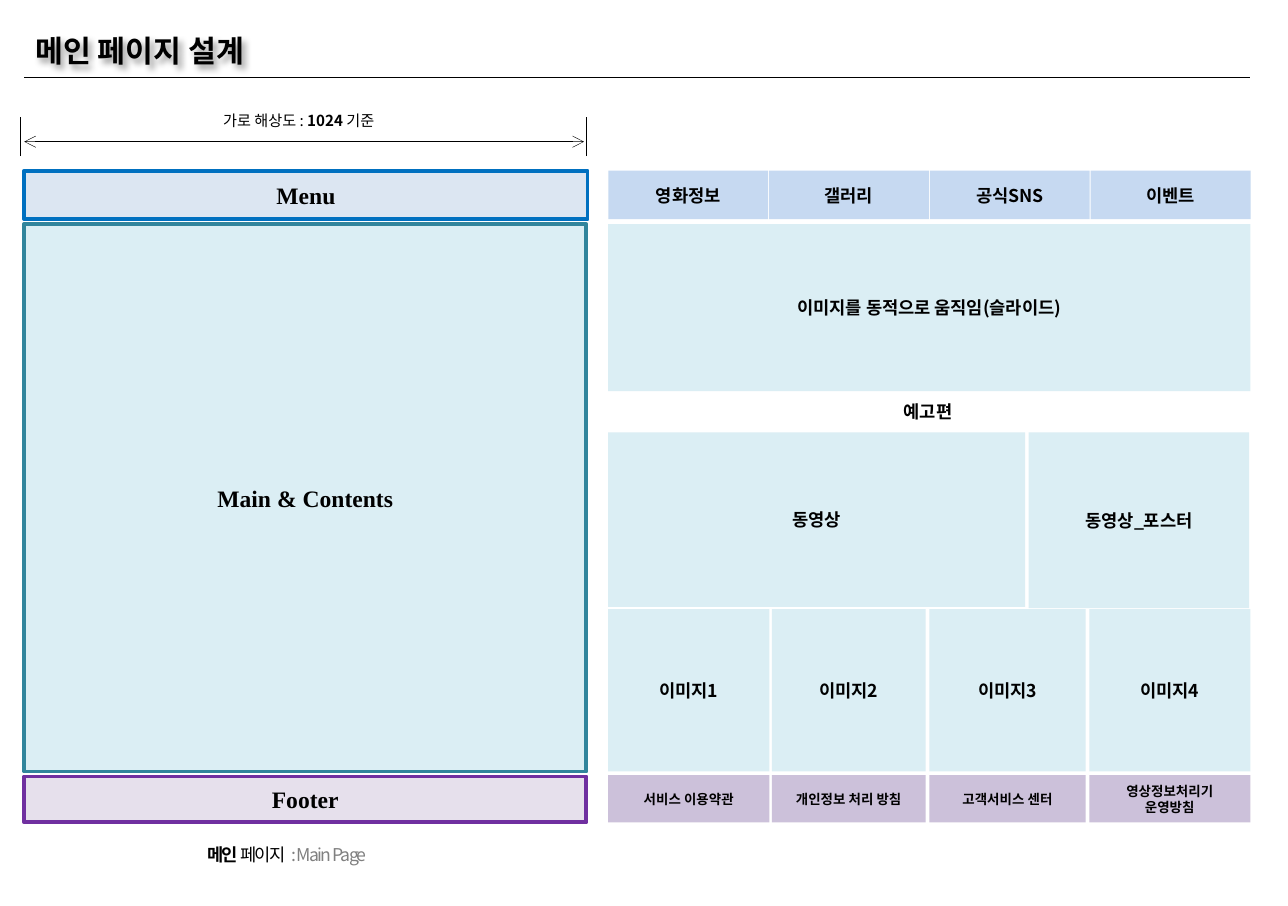
from dataclasses import dataclass
from typing import Optional

from lxml.etree import SubElement
from pptx import Presentation
from pptx.dml.color import RGBColor
from pptx.enum.shapes import MSO_CONNECTOR as Connector, MSO_SHAPE as Shape
from pptx.enum.text import MSO_ANCHOR as Anchor, PP_ALIGN as Align
from pptx.oxml.ns import qn
from pptx.util import Inches, Pt


@dataclass(frozen=True)
class Theme:
    sans: str = "Noto Sans CJK KR"
    serif: str = "Times New Roman"
    black: str = "000000"
    gray: str = "808080"
    content: str = "DBEEF4"
    content_line: str = "31859C"
    menu: str = "DCE6F2"
    menu_line: str = "0070C0"
    menu_item: str = "C6D9F1"
    footer: str = "E6E0EC"
    footer_line: str = "7030A0"
    footer_item: str = "CCC1DA"
    title_size: float = 18
    section_size: float = 14
    label_size: float = 10.5
    ruler_size: float = 9
    footer_size: float = 8
    border: float = 2.25


THEME = Theme()


@dataclass(frozen=True)
class Block:
    text: str
    left: float
    top: float
    width: float
    height: float
    fill: str = THEME.content
    size: float = THEME.label_size
    font: str = THEME.sans
    line: Optional[str] = None


@dataclass(frozen=True)
class Section(Block):
    size: float = THEME.section_size
    font: str = THEME.serif


@dataclass(frozen=True)
class Rule:
    x1: float
    y1: float
    x2: float
    y2: float
    weight: float
    arrows: bool = False


@dataclass(frozen=True)
class Span:
    text: str
    size: float
    bold: bool = False
    color: str = THEME.black
    spacing: float = 0


@dataclass(frozen=True)
class Label:
    spans: tuple[Span, ...]
    left: float
    top: float
    width: float
    height: float
    inset: tuple[float, float] = (0.1, 0.05)


SECTIONS = [
    Section("Main & Contents", 0.2, 1.85, 4.64, 4.52, line=THEME.content_line),
    Section("Menu", 0.2, 1.41, 4.65, 0.4, THEME.menu, line=THEME.menu_line),
    Section("Footer", 0.2, 6.41, 4.64, 0.38, THEME.footer, line=THEME.footer_line),
]
MENU_ITEMS = [
    Block(text, 5.02 + 1.327 * i, 1.41, 1.32, 0.4, THEME.menu_item)
    for i, text in enumerate(["영화정보", "갤러리", "공식SNS", "이벤트"])
]
MEDIA = [
    Block("이미지를 동적으로 움직임(슬라이드)", 5.02, 1.85, 5.3, 1.38),
    Block("동영상", 5.02, 3.57, 3.44, 1.44),
    Block("동영상_포스터", 8.49, 3.57, 1.82, 1.45),
]
COLUMNS = [(5.02, 1.33), (6.37, 1.27), (7.67, 1.29), (8.99, 1.33)]
POLICIES = ["서비스 이용약관", "개인정보 처리 방침", "고객서비스 센터", "영상정보처리기\v운영방침"]
IMAGES = [
    Block(f"이미지{i}", left, 5.03, width, 1.34)
    for i, (left, width) in enumerate(COLUMNS, 1)
]
FOOTER_ITEMS = [
    Block(text, left, 6.4, width, 0.39, THEME.footer_item, THEME.footer_size)
    for text, (left, width) in zip(POLICIES, COLUMNS)
]
RULES = [
    Rule(0.2, 0.64, 10.32, 0.64, 1),
    Rule(0.17, 1.29, 0.17, 0.97, 0.75),
    Rule(4.84, 1.29, 4.84, 0.97, 0.75),
    Rule(0.2, 1.17, 4.82, 1.17, 0.25, arrows=True),
]
LABELS = [
    Label((Span("예고편", THEME.label_size, True),), 7.33, 3.26, 0.66, 0.29),
    Label((Span("가로 해상도 : ", THEME.ruler_size),
           Span("1024 ", THEME.ruler_size, True),
           Span("기준", THEME.ruler_size)), 1.62, 0.92, 1.69, 0.15, (0, 0)),
    Label((Span("메인", THEME.label_size, True, spacing=-1),
           Span(" 페이지", THEME.label_size, spacing=-1),
           Span(" ", 16),
           Span(": Main Page", THEME.label_size, color=THEME.gray, spacing=-1)),
          1.54, 6.84, 1.66, 0.37),
]


def rgb(color: str) -> RGBColor:
    return RGBColor.from_string(color)


def style_run(r, size: float, bold: bool = True, color: str = THEME.black,
              font: str = THEME.sans) -> None:
    r.font.size = Pt(size)
    r.font.bold = bold
    r.font.color.rgb = rgb(color)
    r.font.name = font
    SubElement(r.font._element, qn("a:ea"), typeface=font)


def set_insets(tf, x: float, y: float) -> None:
    tf.margin_left = tf.margin_right = Inches(x)
    tf.margin_top = tf.margin_bottom = Inches(y)


def add_title(s, text: str) -> None:
    sp = s.shapes.title
    sp.left, sp.top, sp.width, sp.height = map(Inches, (0.17, 0.21, 2.18, 0.43))
    tf = sp.text_frame
    tf.text = text
    tf.word_wrap = True
    tf.vertical_anchor = Anchor.TOP
    set_insets(tf, 0.12, 0.06)
    p = tf.paragraphs[0]
    p.alignment = Align.LEFT
    style_run(p.runs[0], THEME.title_size)
    effects = SubElement(sp._element.spPr, qn("a:effectLst"))
    shadow = SubElement(effects, qn("a:outerShdw"), blurRad="50800",
                        dist="38100", dir="2700000", algn="tl")
    color = SubElement(shadow, qn("a:srgbClr"), val=THEME.black)
    SubElement(color, qn("a:alpha"), val="40000")


def add_block(s, block: Block) -> None:
    box = map(Inches, (block.left, block.top, block.width, block.height))
    sp = s.shapes.add_shape(Shape.RECTANGLE, *box)
    sp.shadow.inherit = False
    sp.fill.solid()
    sp.fill.fore_color.rgb = rgb(block.fill)
    if block.line:
        sp.line.color.rgb = rgb(block.line)
        sp.line.width = Pt(THEME.border)
    else:
        sp.line.fill.background()
    tf = sp.text_frame
    tf.text = block.text
    tf.word_wrap = block.line is None
    tf.vertical_anchor = Anchor.MIDDLE
    p = tf.paragraphs[0]
    p.alignment = Align.CENTER
    for r in p.runs:
        style_run(r, block.size, font=block.font)


def add_label(s, label: Label) -> None:
    box = map(Inches, (label.left, label.top, label.width, label.height))
    tf = s.shapes.add_textbox(*box).text_frame
    tf.word_wrap = False
    set_insets(tf, *label.inset)
    p = tf.paragraphs[0]
    p.alignment = Align.CENTER
    for span in label.spans:
        r = p.add_run()
        r.text = span.text
        style_run(r, span.size, span.bold, span.color)
        if span.spacing:
            r.font._element.set("spc", str(int(span.spacing * 100)))


def add_rule(s, rule: Rule) -> None:
    ends = map(Inches, (rule.x1, rule.y1, rule.x2, rule.y2))
    line = s.shapes.add_connector(Connector.STRAIGHT, *ends)
    line.line.color.rgb = rgb(THEME.black)
    line.line.width = Pt(rule.weight)
    if rule.arrows:
        for end in ("a:headEnd", "a:tailEnd"):
            SubElement(line.line._get_or_add_ln(), qn(end), type="arrow")
    SubElement(line._element.spPr, qn("a:effectLst"))


def main() -> None:
    prs = Presentation()
    prs.slide_width, prs.slide_height = Inches(10.63), Inches(7.48)
    s = prs.slides.add_slide(prs.slide_layouts[5])
    add_title(s, "메인 페이지 설계")
    for block in MEDIA + IMAGES + FOOTER_ITEMS + MENU_ITEMS + SECTIONS:
        add_block(s, block)
    for label in LABELS:
        add_label(s, label)
    for rule in RULES:
        add_rule(s, rule)
    prs.save("out.pptx")


if __name__ == "__main__":
    main()
